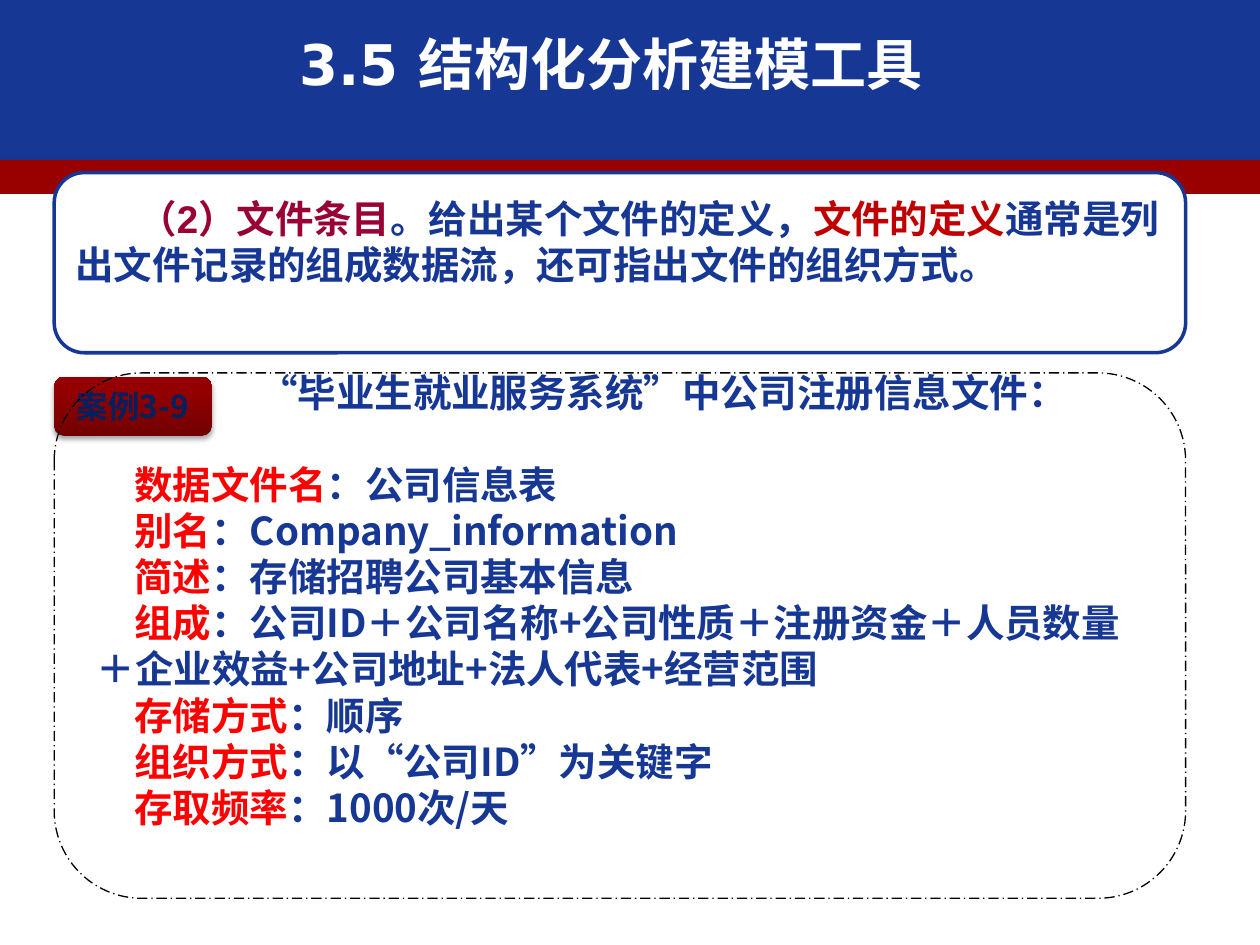
from lxml import etree
from pptx import Presentation
from pptx.dml.color import RGBColor
from pptx.enum.dml import MSO_LINE
from pptx.enum.shapes import MSO_SHAPE as SHAPE
from pptx.enum.text import MSO_ANCHOR as ANCHOR, PP_ALIGN as ALIGN
from pptx.oxml import parse_xml
from pptx.oxml.ns import qn
from pptx.util import Inches, Pt

COLORS = {
    "blue": "163794", "band": "990000", "white": "FFFFFF", "crimson": "990033",
    "dark_red": "C00000", "red": "FF0000", "navy": "002060", "black": "000000",
    "tag_start": "720000", "tag_end": "940000",
}
CJK = "Noto Sans CJK SC"

# Content
TITLE = "3.5 结构化分析建模工具"
DEFINITION = [
    ("（2）文件条目", "crimson"),
    ("。给出某个文件的定义，", "blue"),
    ("文件的定义", "dark_red"),
    ("通常是列出文件记录的组成数据流，还可指出文件的组织方式。", "blue"),
]
TAG = "案例3-9"
CASE_HEADING = "“毕业生就业服务系统”中公司注册信息文件："
ENTRIES = [
    ("数据文件名", "公司信息表"),
    ("别名", "Company_information"),
    ("简述", "存储招聘公司基本信息"),
    ("组成", "公司ID＋公司名称+公司性质＋注册资金＋人员数量＋企业效益"
             "+公司地址+法人代表+经营范围"),
    ("存储方式", "顺序"),
    ("组织方式", "以“公司ID”为关键字"),
    ("存取频率", "1000次/天"),
]

# Geometry shared by the panels
LEFT, PANEL_WIDTH = 0.43, 8.98
BANDS = [(0, 1.29, "blue"), (1.27, 0.27, "band")]


def rgb(name):
    return RGBColor.from_string(COLORS[name])


def add_box(kind, left, top, width, height, fill=None, line=None, weight=1):
    box = slide.shapes.add_shape(
        kind, Inches(left), Inches(top), Inches(width), Inches(height))
    box.shadow.inherit = False
    if fill:
        box.fill.solid()
        box.fill.fore_color.rgb = rgb(fill)
    else:
        box.fill.background()
    if line:
        box.line.color.rgb = rgb(line)
        box.line.width = Pt(weight)
    else:
        box.line.fill.background()
    return box


def write(para, pieces, size, font, indent=0, align=ALIGN.LEFT):
    """Fill a paragraph with bold (text, colour) pieces."""
    para.alignment = align
    para.space_before = Pt(0)
    if indent:
        properties = para._p.get_or_add_pPr()
        properties.set("marL", "0")
        properties.set("indent", str(Inches(indent)))
    for text, color in pieces:
        span = para.add_run()
        span.text = text
        span.font.size, span.font.name, span.font.bold = Pt(size), font, True
        span.font.color.rgb = rgb(color)


deck = Presentation()
deck.slide_width, deck.slide_height = Inches(10), Inches(7.5)
slide = deck.slides.add_slide(deck.slide_layouts[5])
title = slide.shapes.title

# Header bands, behind the title
for top, height, color in BANDS:
    band = add_box(SHAPE.RECTANGLE, 0, top, 10, height, color)
    title._element.addprevious(band._element)

# Title
title.left, title.top = Inches(LEFT), Inches(0.21)
title.width, title.height = Inches(8.94), Inches(0.58)
title.text_frame.vertical_anchor = ANCHOR.MIDDLE
title.text_frame.margin_right = Inches(0.2)
write(title.text_frame.paragraphs[0], [(TITLE, "white")], 32, "DejaVu Sans",
      align=ALIGN.CENTER)

# Definition panel
panel = add_box(SHAPE.ROUNDED_RECTANGLE, LEFT, 1.37, PANEL_WIDTH, 1.43,
                "white", "blue", 2)
frame = panel.text_frame
frame.word_wrap = True
frame.vertical_anchor = ANCHOR.TOP
frame.margin_top = Inches(0.11)
write(frame.paragraphs[0], DEFINITION, 22, "Arial", 0.5)

# Case text
case = slide.shapes.add_textbox(
    Inches(0.67), Inches(2.88), Inches(8.5), Inches(4.14))
frame = case.text_frame
frame.word_wrap = True
heading = frame.paragraphs[0]
write(heading, [(CASE_HEADING, "blue")], 22, "Times New Roman", 1.29)
heading.space_after = Pt(26)
for label, value in ENTRIES:
    write(frame.add_paragraph(), [(label, "red"), ("：" + value, "blue")],
          22, CJK, 0.3)

# Case tag with gradient and soft shadow
tag = add_box(SHAPE.ROUNDED_RECTANGLE, LEFT, 2.99, 1.25, 0.47)
tag.fill.gradient()
tag.fill.gradient_angle = 90
for stop, position, color in zip(
        tag.fill.gradient_stops, (0, 0.8), ("tag_start", "tag_end")):
    stop.position = position
    stop.color.rgb = rgb(color)
effects = tag._element.spPr.find(qn("a:effectLst"))
shadow = etree.SubElement(
    effects, qn("a:outerShdw"), blurRad=str(Pt(3.1)), dist=str(Pt(1.8)),
    dir="5400000", rotWithShape="0")
shadow.append(parse_xml(
    '<a:srgbClr xmlns:a="http://schemas.openxmlformats.org/drawingml/2006/main"'
    ' val="000000"><a:alpha val="35000"/></a:srgbClr>'))
tag.text_frame.word_wrap = False
tag.text_frame.vertical_anchor = ANCHOR.MIDDLE
write(tag.text_frame.paragraphs[0], [(TAG, "navy")], 18, CJK,
      align=ALIGN.CENTER)

# Dashed frame around the case
outline = add_box(SHAPE.FLOWCHART_ALTERNATE_PROCESS, LEFT, 2.96, PANEL_WIDTH,
                  4.17, line="black", weight=0.75)
outline.line.dash_style = MSO_LINE.LONG_DASH_DOT

deck.save("out.pptx")
